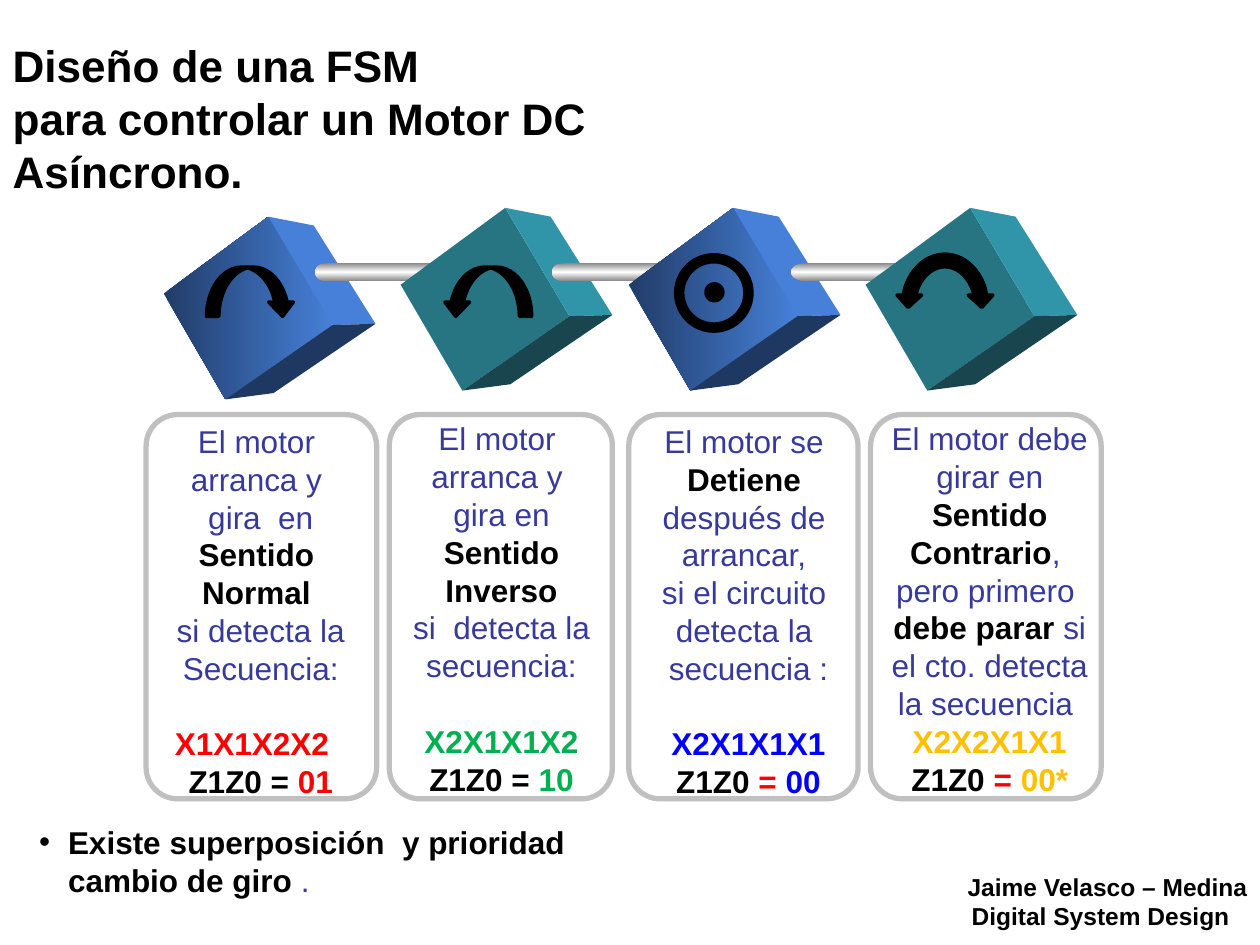
from copy import deepcopy

from pptx import Presentation
from pptx.dml.color import RGBColor
from pptx.enum.shapes import MSO_SHAPE
from pptx.enum.text import MSO_ANCHOR, PP_ALIGN
from pptx.oxml.ns import qn
from pptx.util import Inches, Pt

THEME = {
    "font": "Arial", "title": 25.2, "body": 18, "footer": 14,
    "text": "37399B", "black": "000000", "red": "FF0000", "green": "00B050",
    "blue": "0000FF", "amber": "FFC000", "border": "C0C0C0",
    "rod": ["8A8A8A", "FFFFFF", "8A8A8A"],
}
# Front, side and bottom face of each cube
BLUE_CUBE = (["213C68", "4680D8"], ["4680D8"], ["1F3861"])
TEAL_CUBE = (["277583"], ["3095A9"], ["18454E"])

# Content: a paragraph is a list of (text, colour name); only "text" is not bold
TITLE = [[("Diseño de una FSM \vpara controlar un Motor DC Asíncrono.", "black")]]
NOTE = [[("Existe superposición  y prioridad cambio de giro", "black"), (" .", "text")]]
FOOTER = [[("Jaime Velasco – Medina ", "black")], [("Digital System Design  ", "black")]]
COLUMNS = [
    dict(panel=(1.16, 1.83), box=(1.25, 3.3, 1.64), gap=True, text=[
        [("El motor ", "text")], [("arranca y ", "text")],
        [("gira  en ", "text"), ("Sentido ", "black")], [("Normal ", "black")],
        [("si detecta la Secuencia:", "text")],
        [("X1X1X2X2  ", "red")], [("Z1Z0 = ", "black"), ("01", "red")]]),
    dict(panel=(3.09, 1.77), box=(3.12, 3.28, 1.72), gap=True, text=[
        [("El motor ", "text")], [("arranca y ", "text")],
        [("gira en ", "text"), ("Sentido", "black")], [(" Inverso ", "black")],
        [("si  detecta la secuencia:", "text")],
        [("X2X1X1X2", "green")], [("Z1Z0 = ", "black"), ("10", "green")]]),
    dict(panel=(4.99, 1.82), box=(5.08, 3.3, 1.72), gap=True, text=[
        [("El motor se ", "text")], [("Detiene ", "black")],
        [("después de ", "text")], [("arrancar, ", "text")],
        [("si el circuito ", "text")], [("detecta la ", "text")],
        [("secuencia :", "text")], [("X2X1X1X1", "blue")],
        [("Z1Z0", "black"), (" = ", "red"), ("00", "blue")]]),
    dict(panel=(6.91, 1.83), box=(6.88, 3.28, 1.95), gap=False, text=[
        [("El motor debe girar en ", "text"), ("Sentido Contrario", "black"), (", ", "text")],
        [("pero primero ", "text")],
        [("debe parar ", "black"), ("si el cto. detecta la secuencia ", "text")],
        [("X2X2X1X1", "amber")],
        [("Z1Z0", "black"), (" = ", "red"), ("00*", "amber")]]),
]
CUBES = [(1.45, 1.9, BLUE_CUBE), (3.33, 1.83, TEAL_CUBE),
         (5.14, 1.83, BLUE_CUBE), (7.02, 1.83, TEAL_CUBE)]
RODS = [(2.5, 1.01), (4.38, 1.01), (6.28, 1.33)]  # left, length

# Cube corners, measured from the cube's origin
LEFT, TOP, RIGHT, BOTTOM = (-.15, .43), (.68, -.18), (1.19, .68), (.34, 1.27)
BACK_TOP, BACK_RIGHT, BACK_BOTTOM = (1.04, -.11), (1.53, .67), (.72, 1.22)
FACES = [(LEFT, TOP, RIGHT, BOTTOM), (TOP, BACK_TOP, BACK_RIGHT, RIGHT),
         (RIGHT, BACK_RIGHT, BACK_BOTTOM, BOTTOM)]

prs = Presentation()
prs.slide_width, prs.slide_height = Inches(10), Inches(7.5)
s = prs.slides.add_slide(prs.slide_layouts[1])


def rgb(color):
    return RGBColor.from_string(color)


def place(sp, x, y, w, h):
    sp.left, sp.top, sp.width, sp.height = map(Inches, (x, y, w, h))


def paint(sp, colors=None, line=None, weight=0, angle=0):
    """Fill with no colour, one colour or an even gradient."""
    sp.shadow.inherit = False
    if not colors:
        sp.fill.background()
    elif len(colors) == 1:
        sp.fill.solid()
        sp.fill.fore_color.rgb = rgb(colors[0])
    else:
        sp.fill.gradient()
        sp.fill.gradient_angle = angle
        stops = sp._element.spPr.find(qn("a:gradFill")).find(qn("a:gsLst"))
        for _ in colors[2:]:
            stops.append(deepcopy(stops[0]))
        for i, (stop, color) in enumerate(zip(sp.fill.gradient_stops, colors)):
            stop.color.rgb = rgb(color)
            stop.position = i / (len(colors) - 1)
    if line:
        sp.line.color.rgb = rgb(line)
        sp.line.width = Pt(weight)
    else:
        sp.line.fill.background()


def shape(kind, x, y, w, h, adj=(), flip=False, **look):
    sp = s.shapes.add_shape(kind, *map(Inches, (x, y, w, h)))
    for i, value in enumerate(adj):
        sp.adjustments[i] = value
    if flip:
        sp._element.spPr.find(qn("a:xfrm")).set("flipH", "1")
    paint(sp, **look)


def write(sp, paragraphs, size=THEME["body"], align=PP_ALIGN.LEFT,
          anchor=MSO_ANCHOR.TOP, gap_at=None):
    tf = sp.text_frame
    tf.word_wrap = True
    tf.vertical_anchor = anchor
    for i, runs in enumerate(paragraphs):
        p = tf.paragraphs[0] if i == 0 else tf.add_paragraph()
        p.alignment = align
        p.space_before = Pt(size * 1.2 if i == gap_at else 0)
        for text, color in runs:
            for n, part in enumerate(text.split("\v")):
                if n:
                    p.add_line_break()
                r = p.add_run()
                r.text = part
                r.font.name, r.font.size = THEME["font"], Pt(size)
                r.font.bold = color != "text"
                r.font.color.rgb = rgb(THEME[color])


def textbox(x, y, w, h, paragraphs, **fmt):
    write(s.shapes.add_textbox(*map(Inches, (x, y, w, h))), paragraphs, **fmt)


def cube(x, y, face_colors):
    for corners, colors in zip(FACES, face_colors):
        points = [(Inches(x + dx), Inches(y + dy)) for dx, dy in corners]
        builder = s.shapes.build_freeform(*points[0])
        builder.add_line_segments(points[1:], close=True)
        paint(builder.convert_to_shape(), colors)


def rod(x, length):
    for kind, start, share in ((MSO_SHAPE.OVAL, 0, .17), (MSO_SHAPE.RECTANGLE, .1, .83),
                               (MSO_SHAPE.OVAL, .85, .15)):
        shape(kind, x + start * length, 2.09, share * length, .14,
              colors=THEME["rod"], angle=90)


# Title and closing note
title, body = s.placeholders
place(title, 0, .31, 5.55, 1.25)
write(title, TITLE, size=THEME["title"], anchor=MSO_ANCHOR.MIDDLE)
place(body, .21, 6.48, 5.03, .71)
write(body, NOTE)
pPr = body.text_frame.paragraphs[0]._p.get_or_add_pPr()
pPr.set("marL", str(Inches(.23)))
pPr.set("indent", str(-Inches(.23)))

# Panels with their texts
for col in COLUMNS:
    left, width = col["panel"]
    shape(MSO_SHAPE.ROUNDED_RECTANGLE, left, 3.29, width, 3.05, adj=[.137],
          line=THEME["border"], weight=3)
    x, y, w = col["box"]
    textbox(x, y, w, 3.13, col["text"], align=PP_ALIGN.CENTER,
            gap_at=len(col["text"]) - 2 if col["gap"] else None)

# Chain of cubes: each rod starts on one cube and ends behind the next
for i, (x, y, colors) in enumerate(CUBES):
    cube(x, y, colors)
    if i < len(RODS):
        rod(*RODS[i])

# Turning symbols on the cubes
ink = dict(colors=[THEME["black"]], line=THEME["black"])
for x, flip in ((1.64, False), (3.52, True)):
    shape(MSO_SHAPE.CURVED_DOWN_ARROW, x, 2.12, .7, .39, adj=[.25, .5, .288],
          flip=flip, weight=2, **ink)
for flip, start in ((False, 122.725), (True, 124.036)):
    shape(MSO_SHAPE.CIRCULAR_ARROW, 7.11, 1.97, .78, .94,
          adj=[.125, 11.423, 204.577, start, .125], flip=flip, weight=2, **ink)
shape(MSO_SHAPE.OVAL, 5.39, 2.05, .55, .55, line=THEME["black"], weight=6)
shape(MSO_SHAPE.OVAL, 5.63, 2.28, .08, .08, weight=6, **ink)

# Footer
textbox(7.58, 6.87, 2.42, .63, FOOTER, size=THEME["footer"], align=PP_ALIGN.CENTER)

prs.save("out.pptx")
